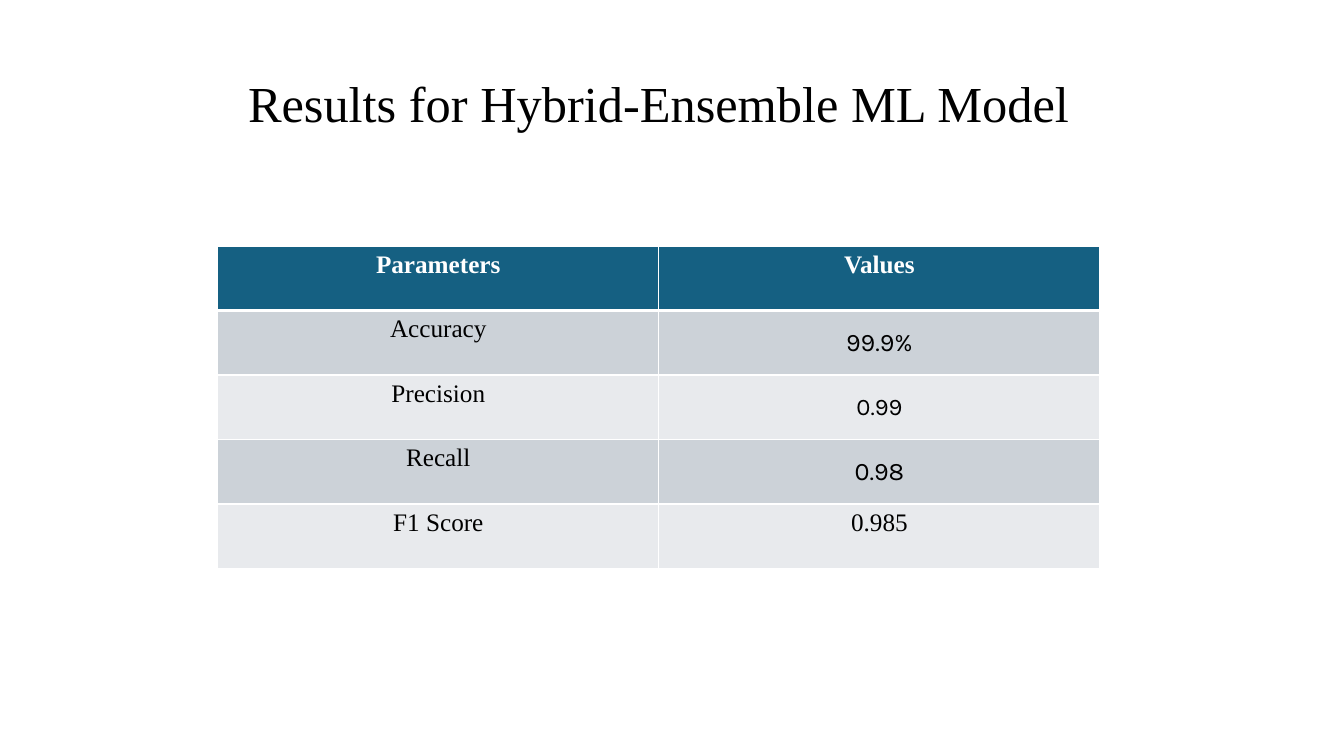
from lxml import etree
from pptx import Presentation
from pptx.dml.color import RGBColor
from pptx.enum import text
from pptx.oxml import ns
from pptx.util import Inches, Pt

COLORS = {"header": "156082", "odd": "CCD2D8", "even": "E8EAED",
          "white": "FFFFFF", "black": "000000"}
SERIF = "Times New Roman"
SANS = "Karla"
RESULTS = [
    ("Parameters", "Values", SERIF, 18),
    ("Accuracy", "99.9%", SANS, 18),
    ("Precision", "0.99", SANS, 17),
    ("Recall", "0.98", SANS, 18),
    ("F1 Score", "0.985", SERIF, 18),
]


def rgb(name):
    return RGBColor.from_string(COLORS[name])


def style_text(p, font, size, color, bold=False):
    for r in p.runs:
        r.font.name = font
        r.font.size = Pt(size)
        r.font.bold = bold
        r.font.color.rgb = rgb(color)


def add_title(s, title):
    tf = s.shapes.add_textbox(Inches(1.99), Inches(0.45), Inches(9.36), Inches(0.92)).text_frame
    tf.word_wrap = True
    tf.vertical_anchor = text.MSO_ANCHOR.BOTTOM
    tf.margin_left = Inches(0.47)
    tf.text = title
    p = tf.paragraphs[0]
    p.line_spacing = 0.9
    style_text(p, SERIF, 36, "black")


def set_borders(cell, top, bottom):
    tc_pr = cell._tc.get_or_add_tcPr()
    for i, (side, width) in enumerate(zip("LRTB", (1, 1, top, bottom))):
        ln = etree.Element(ns.qn(f"a:ln{side}"), w=str(Pt(width)))
        fill = etree.SubElement(ln, ns.qn("a:solidFill"))
        etree.SubElement(fill, ns.qn("a:srgbClr"), val=COLORS["white"])
        tc_pr.insert(i, ln)


def fill_cell(cell, value, row, font, size):
    header = row == 0
    cell.text_frame.text = value
    p = cell.text_frame.paragraphs[0]
    p.alignment = text.PP_ALIGN.CENTER
    style_text(p, font, size, "white" if header else "black", header)
    if font == SANS:
        cell.vertical_anchor = text.MSO_ANCHOR.MIDDLE
        cell.margin_left = cell.margin_right = cell.margin_top = cell.margin_bottom = 0
    cell.fill.solid()
    cell.fill.fore_color.rgb = rgb("header" if header else "odd" if row % 2 else "even")
    set_borders(cell, 3 if row == 1 else 1, 3 if header else 1)


def add_results_table(s, results):
    table = s.shapes.add_table(len(results), 2, Inches(2.16), Inches(2.44),
                               Inches(8.75), Inches(3.2)).table
    for row, (parameter, value, font, size) in enumerate(results):
        fill_cell(table.cell(row, 0), parameter, row, SERIF, 18)
        fill_cell(table.cell(row, 1), value, row, font, size)


def main():
    prs = Presentation()
    prs.slide_width = Inches(13.33)
    prs.slide_height = Inches(7.5)
    s = prs.slides.add_slide(prs.slide_layouts[6])
    add_title(s, "Results for Hybrid-Ensemble ML Model")
    add_results_table(s, RESULTS)
    prs.save("out.pptx")


if __name__ == "__main__":
    main()
